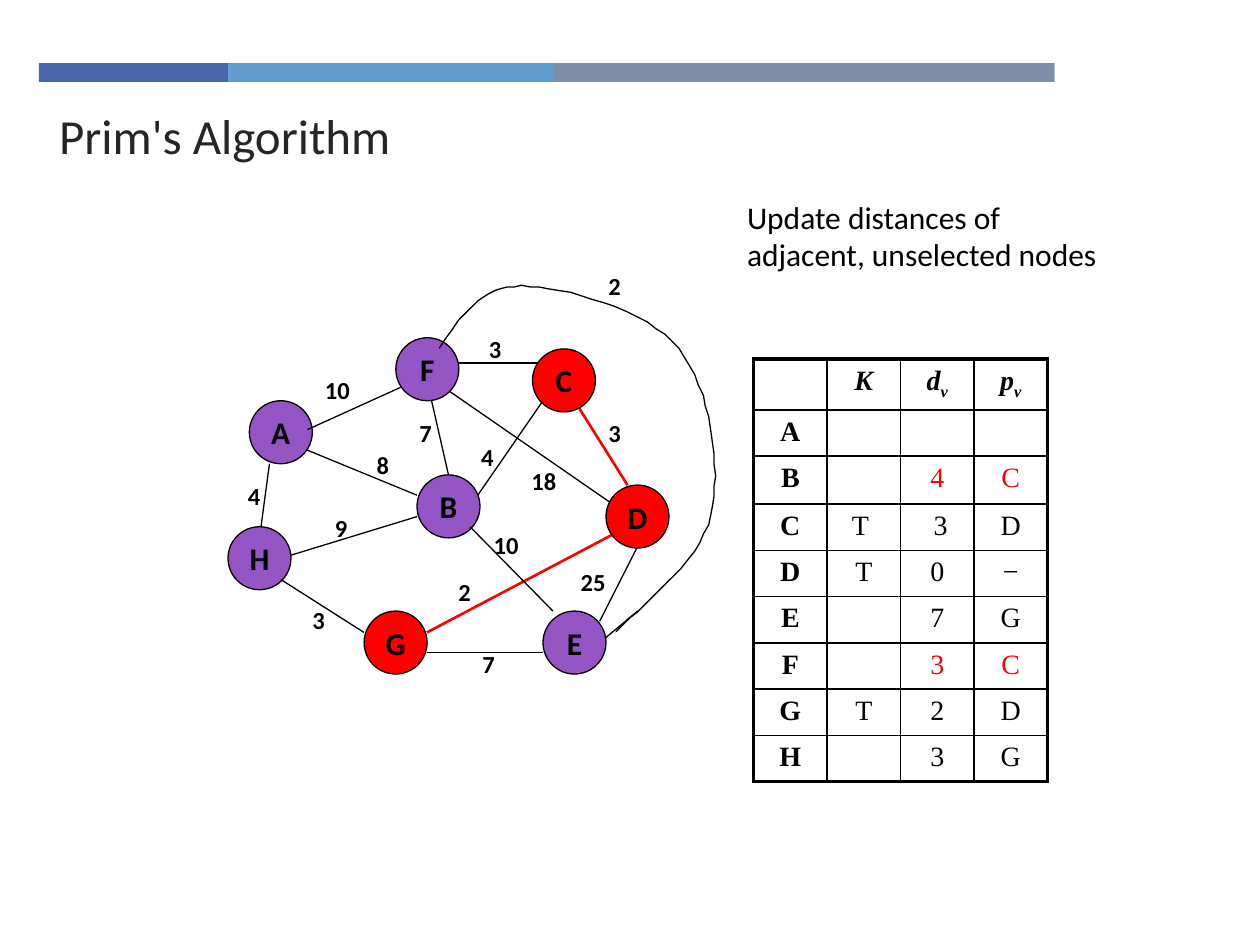
from lxml.etree import SubElement
from pptx import Presentation
from pptx.dml.color import RGBColor
from pptx.enum.shapes import MSO_CONNECTOR, MSO_SHAPE
from pptx.enum.text import MSO_ANCHOR, MSO_AUTO_SIZE, PP_ALIGN
from pptx.oxml.ns import qn
from pptx.util import Pt

BLACK, RED, PURPLE = "000000", "FF0000", "9454C3"
SANS, SERIF = "Calibri", "Times New Roman"
NODE_SIZE = 36

BARS = [(22.3, 108, "4A66AC"), (130.3, 185.8, "629DD1"), (316.1, 286.6, "7F8FA9")]

# Letter, left, top, fill
NODES = [
    ("A", 142.5, 229, PURPLE), ("H", 130.3, 301, PURPLE),
    ("B", 238.3, 271.4, PURPLE), ("F", 226.2, 193, PURPLE),
    ("E", 310.3, 349.2, PURPLE), ("D", 346.3, 277.2, RED),
    ("C", 304.3, 199.4, RED), ("G", 208.1, 349.2, RED),
]

# Start x, start y, end x, end y
EDGES_BEHIND = [
    (373, 295.2, 342.7, 355), (244, 217.4, 256.3, 271.4),
    (268.6, 289.4, 310.3, 229), (352, 289.4, 256.3, 223.2),
    (160.6, 319, 238.3, 295.2), (148.3, 307.4, 154, 265),
    (166.3, 253.4, 238.3, 283), (260, 207.4, 308.2, 207.4),
]
TREE_EDGES = [(244, 361.4, 358.6, 301), (328.3, 229, 358.6, 277.2)]
EDGES_IN_FRONT = [
    (268.6, 301, 316, 349.2), (310.3, 373, 244, 373),
    (208, 361.4, 160.6, 331.2), (175.7, 245.5, 229.7, 221),
    (364.3, 349.2, 346.3, 364.3),
]

# Curve from F round to E: start, then two controls and an end per segment
CURVE_START = (250.6, 199.4)
CURVE_SEGMENTS = [
    ((262.8, 181.4), (275, 163.4), (298.1, 163.4)),
    ((321.1, 163.4), (370.1, 177.1), (388.1, 199.4)),
    ((406.1, 221), (412.6, 267.8), (406.1, 295.2)),
    ((400.3, 321.8), (361.4, 349.9), (352.1, 361.4)),
]

# Weight, left, top
WEIGHTS = [
    ("4", 134.6, 271.4), ("25", 324.7, 320.4), ("7", 268.6, 367.2),
    ("2", 254.9, 326.2), ("10", 275, 299.5), ("18", 296.6, 262.8),
    ("3", 340.6, 235.4), ("4", 267.8, 249.1), ("3", 272.2, 187.2),
    ("7", 232.6, 235.4), ("8", 208.1, 253.4), ("9", 184.3, 289.4),
    ("3", 171.4, 342), ("10", 178.6, 211), ("2", 340.6, 151.2),
]

HEADERS = [("", ""), ("K", ""), ("d", "v"), ("p", "v")]
ROWS = [
    ("A", "", "", ""), ("B", "", "4", "C"), ("C", "T ", " 3", "D"),
    ("D", "T", "0", "−"), ("E", "", "7", "G"), ("F", "", "3", "C"),
    ("G", "T", "2", "D"), ("H", "", "3", "G"),
]
UPDATED_NODES = "BF"


def color(value):
    return RGBColor.from_string(value)


def add_run(paragraph, text, size, name=SANS, fill=BLACK, bold=False, italic=False):
    run = paragraph.add_run()
    run.text = text
    font = run.font
    font.size, font.name, font.bold, font.italic = Pt(size), name, bold, italic
    font.color.rgb = color(fill)
    return run


def add_title(slide, text):
    title = slide.shapes.title
    title.left, title.top, title.width, title.height = Pt(26.6), Pt(57.6), Pt(515.5), Pt(38.9)
    frame = title.text_frame
    frame.auto_size = MSO_AUTO_SIZE.NONE
    frame.vertical_anchor = MSO_ANCHOR.MIDDLE
    paragraph = frame.paragraphs[0]
    paragraph.alignment = PP_ALIGN.LEFT
    add_run(paragraph, text, 28, fill="262626")


def add_text(slide, text, left, top, width, height, size, bold=False):
    box = slide.shapes.add_textbox(Pt(left), Pt(top), Pt(width), Pt(height))
    box.text_frame.word_wrap = True
    add_run(box.text_frame.paragraphs[0], text, size, bold=bold)


def add_filled_shape(slide, kind, left, top, width, height, fill):
    shape = slide.shapes.add_shape(kind, Pt(left), Pt(top), Pt(width), Pt(height))
    shape.shadow.inherit = False
    shape.fill.solid()
    shape.fill.fore_color.rgb = color(fill)
    shape.line.fill.background()
    return shape


def style_line(shape, fill=BLACK, width=0.75):
    shape.line.color.rgb = color(fill)
    shape.line.width = Pt(width)


def add_node(slide, letter, left, top, fill):
    node = add_filled_shape(slide, MSO_SHAPE.OVAL, left, top, NODE_SIZE, NODE_SIZE, fill)
    style_line(node)
    frame = node.text_frame
    frame.word_wrap = False
    frame.vertical_anchor = MSO_ANCHOR.MIDDLE
    paragraph = frame.paragraphs[0]
    paragraph.alignment = PP_ALIGN.CENTER
    add_run(paragraph, letter, 18, bold=True)


def add_edge(slide, ends, fill=BLACK, width=0.75):
    edge = slide.shapes.add_connector(MSO_CONNECTOR.STRAIGHT, *map(Pt, ends))
    style_line(edge, fill, width)
    SubElement(edge._element.spPr, qn("a:effectLst"))


def bezier_points(start, segments, steps=16):
    for first, second, end in segments:
        for step in range(1, steps + 1):
            t = step / steps
            u = 1 - t
            yield tuple(
                u**3 * a + 3 * u * u * t * b + 3 * u * t * t * c + t**3 * d
                for a, b, c, d in zip(start, first, second, end)
            )
        start = end


def add_curve(slide):
    builder = slide.shapes.build_freeform(*CURVE_START, scale=Pt(1))
    builder.add_line_segments(bezier_points(CURVE_START, CURVE_SEGMENTS), close=False)
    curve = builder.convert_to_shape()
    curve.shadow.inherit = False
    curve.fill.background()
    style_line(curve)


def set_borders(cell, widths):
    properties = cell._tc.get_or_add_tcPr()
    for side, width in zip("LRTB", widths):
        border = SubElement(properties, qn(f"a:ln{side}"), w=str(Pt(width)))
        fill = SubElement(border, qn("a:solidFill"))
        SubElement(fill, qn("a:srgbClr"), val=BLACK)
    cell.fill.background()


def fill_cell(cell, text, subscript="", **style):
    paragraph = cell.text_frame.paragraphs[0]
    paragraph.alignment = PP_ALIGN.CENTER
    if text:
        add_run(paragraph, text, 16, SERIF, **style)
    else:
        SubElement(paragraph._p, qn("a:endParaRPr"), sz="1600")
    if subscript:
        run = add_run(paragraph, subscript, 16, SERIF, **style)
        run.font._element.set("baseline", "-25000")


def add_distance_table(slide):
    row_count, column_count = len(ROWS) + 1, len(HEADERS)
    table = slide.shapes.add_table(
        row_count, column_count, Pt(430.6), Pt(205.2), Pt(168), Pt(239)).table
    table.first_row = table.horz_banding = False
    for column in table.columns:
        column.width = Pt(42)
    for index, row in enumerate(table.rows):
        row.height = Pt(27.4 if index == 2 else 26.4)
        for position, cell in enumerate(row.cells):
            outer = (position == 0, position == column_count - 1,
                     index == 0, index == row_count - 1)
            set_borders(cell, [2.25 if edge else 1 for edge in outer])
            if index == 0:
                fill_cell(cell, *HEADERS[position], bold=True, italic=True)
                continue
            values = ROWS[index - 1]
            updated = position > 0 and values[0] in UPDATED_NODES
            fill_cell(cell, values[position], bold=position == 0,
                      fill=RED if updated else BLACK)


def main():
    presentation = Presentation()
    presentation.slide_width, presentation.slide_height = Pt(720), Pt(540)
    slide = presentation.slides.add_slide(presentation.slide_layouts[5])

    # Heading
    for left, width, fill in BARS:
        add_filled_shape(slide, MSO_SHAPE.RECTANGLE, left, 36, width, 10.8, fill)
    add_title(slide, "Prim's Algorithm")

    # Graph
    for ends in EDGES_BEHIND:
        add_edge(slide, ends)
    for ends in TREE_EDGES:
        add_edge(slide, ends, RED, 1.5)
    for node in NODES:
        add_node(slide, *node)
    for ends in EDGES_IN_FRONT:
        add_edge(slide, ends)
    add_curve(slide)
    for weight, left, top in WEIGHTS:
        add_text(slide, weight, left, top, 24 if len(weight) == 1 else 37.4, 24, 14, bold=True)

    # Explanation and distances
    add_text(slide, "Update distances of adjacent, unselected nodes",
             419.8, 109.4, 228.2, 55.4, 18)
    add_distance_table(slide)

    presentation.save("out.pptx")


if __name__ == "__main__":
    main()
